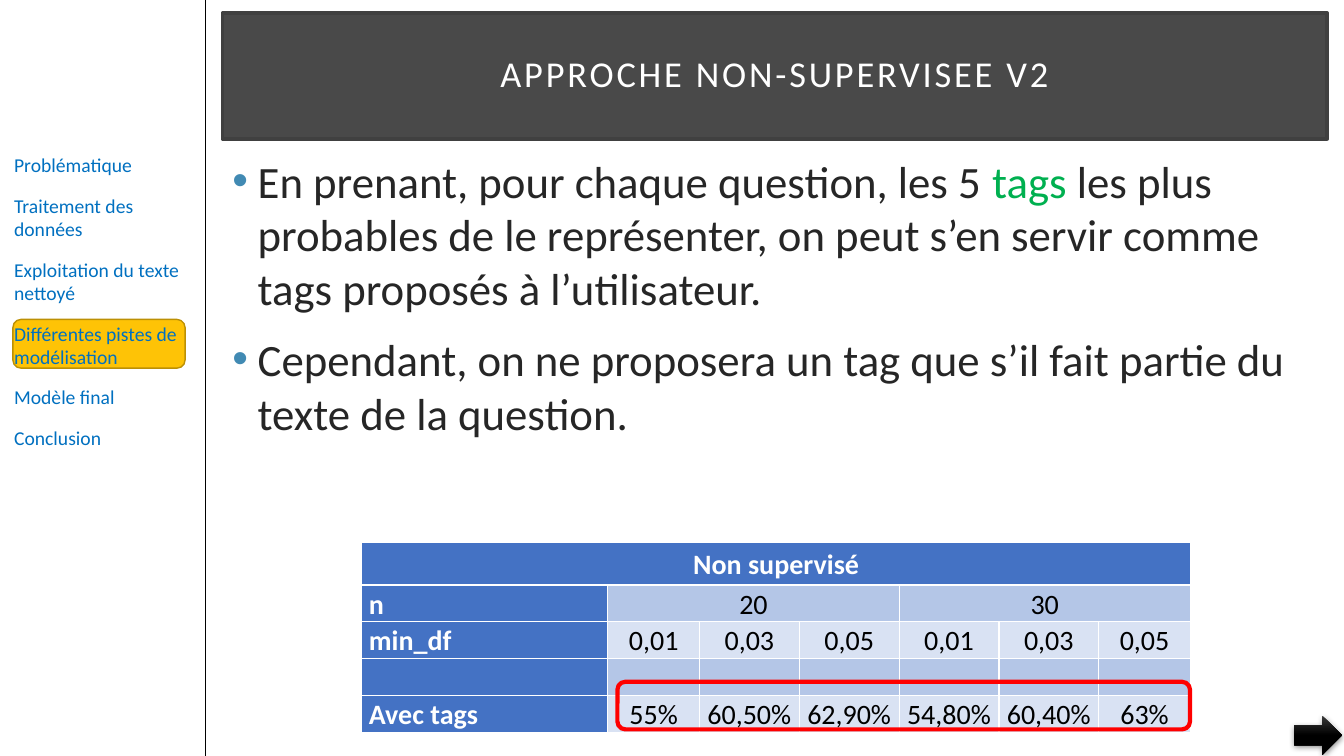
from lxml.etree import SubElement
from pptx import Presentation
from pptx.dml.color import RGBColor
from pptx.enum.shapes import MSO_CONNECTOR, MSO_SHAPE
from pptx.enum.text import MSO_ANCHOR, PP_ALIGN
from pptx.oxml import parse_xml
from pptx.oxml.ns import nsdecls, qn
from pptx.util import Pt

COLORS = {
    "white": "FFFFFF", "black": "000000", "body": "262626", "tag": "00B050",
    "nav": "0070C0", "bullet": "418AB3", "amber": "FEC306", "amber_edge": "BC9004",
    "title": "0D0D0D", "title_edge": "404040", "red": "FF0000", "sheen": "393939",
    "head": "4472C4", "band_dark": "B4C6E7", "band_light": "D9E2F3",
}


def rgb(name):
    return RGBColor.from_string(COLORS[name])


def write(frame, paragraphs, size=14, color="black", bold=False, align=PP_ALIGN.LEFT,
          anchor=MSO_ANCHOR.TOP, insets=(7.2, 3.6, 7.2, 3.6), line=1.0, gap=0,
          tracking=0, bullet=None, hanging=18):
    """Each paragraph is a list of (text, colour) runs or a plain string."""
    frame.word_wrap = True
    frame.vertical_anchor = anchor
    (frame.margin_left, frame.margin_top,
     frame.margin_right, frame.margin_bottom) = map(Pt, insets)
    for number, runs in enumerate(paragraphs):
        paragraph = frame.add_paragraph() if number else frame.paragraphs[0]
        paragraph.alignment = align
        paragraph.line_spacing = line
        paragraph.space_before = paragraph.space_after = Pt(gap)
        if bullet:
            props = paragraph._p.get_or_add_pPr()
            props.set("marL", str(Pt(hanging)))
            props.set("indent", str(-Pt(hanging)))
            tint = SubElement(props, qn("a:buClr"))
            SubElement(tint, qn("a:srgbClr"), val=COLORS["bullet"])
            SubElement(props, qn("a:buFont"), typeface="Arial")
            SubElement(props, qn("a:buChar"), char=bullet)
        for text, tone in [(runs, color)] if isinstance(runs, str) else runs:
            run = paragraph.add_run()
            run.text = text
            run.font.name = "Calibri"
            run.font.size = Pt(size)
            run.font.bold = bold
            run.font.color.rgb = rgb(tone)
            if tracking:
                run._r.get_or_add_rPr().set("spc", str(tracking * 100))


class SlideBuilder:
    def __init__(self, slide):
        self.slide = slide
        self.shapes = slide.shapes

    def paint(self, shape, fill=None, edge=None, width=1):
        if fill:
            shape.fill.solid()
            shape.fill.fore_color.rgb = rgb(fill)
        else:
            shape.fill.background()
        if edge:
            shape.line.color.rgb = rgb(edge)
            shape.line.width = Pt(width)
        else:
            shape.line.fill.background()

    def title(self, box, text):
        holder = self.shapes.title
        holder.left, holder.top, holder.width, holder.height = map(Pt, box)
        self.paint(holder, "title", "title_edge", 2.5)
        tone = holder.fill._xPr.find(qn("a:solidFill"))[0]
        SubElement(tone, qn("a:alpha"), val="75000")
        write(holder.text_frame, [text], size=26, color="white", align=PP_ALIGN.CENTER,
              anchor=MSO_ANCHOR.MIDDLE, insets=(14.4,) * 4, line=0.9, tracking=2)

    def text(self, box, paragraphs, **style):
        write(self.shapes.add_textbox(*map(Pt, box)).text_frame, paragraphs, **style)

    def shape(self, kind, box, **style):
        shape = self.shapes.add_shape(kind, *map(Pt, box))
        shape.shadow.inherit = False
        self.paint(shape, **style)
        return shape

    def line(self, start, end, color, width=1):
        rule = self.shapes.add_connector(MSO_CONNECTOR.STRAIGHT, *map(Pt, start + end))
        rule.line.color.rgb = rgb(color)
        rule.line.width = Pt(width)
        SubElement(rule._element.spPr, qn("a:effectLst"))

    def next_arrow(self, box):
        arrow = self.shape(MSO_SHAPE.RIGHT_ARROW, box)
        arrow.fill.gradient()
        arrow.fill.gradient_angle = 270
        for stop, (tone, place) in zip(arrow.fill.gradient_stops,
                                       [("sheen", 0), ("black", 0.5)]):
            stop.color.rgb = rgb(tone)
            stop.position = place
        effects = arrow._element.spPr.find(qn("a:effectLst"))
        shadow = SubElement(effects, qn("a:outerShdw"), blurRad=str(Pt(4.4)),
                            dist=str(Pt(1.2)), dir="5400000", rotWithShape="0")
        tone = SubElement(shadow, qn("a:srgbClr"), val=COLORS["black"])
        SubElement(tone, qn("a:alpha"), val="45000")

    def cell(self, cell, text, fill, **style):
        cell.fill.solid()
        cell.fill.fore_color.rgb = rgb(fill)
        anchor = style.pop("anchor")
        cell.vertical_anchor = anchor
        cell.margin_left = cell.margin_right = Pt(5)
        cell.margin_top = cell.margin_bottom = 0
        if text:
            write(cell.text_frame, [text], size=20, line=1.07, anchor=None,
                  insets=(0,) * 4, **style)
        props = cell._tc.get_or_add_tcPr()
        for place, side in enumerate(("lnL", "lnR", "lnT", "lnB")):
            props.insert(place, parse_xml(
                f'<a:{side} {nsdecls("a")} w="{Pt(1)}"><a:solidFill>'
                f'<a:srgbClr val="{COLORS["white"]}"/></a:solidFill></a:{side}>'))

    def table(self, corner, widths, heights, rows, merges):
        box = (*corner, sum(widths), sum(heights))
        grid = self.shapes.add_table(len(rows), len(widths), *map(Pt, box)).table
        for column, width in zip(grid.columns, widths):
            column.width = Pt(width)
        for row, height in zip(grid.rows, heights):
            row.height = Pt(height)
        for r, row in enumerate(rows):
            for c, text in enumerate(row):
                head = r == 0 or c == 0
                band = "band_dark" if r % 2 else "band_light"
                middle = r == 0 or (c > 0 and r < 3)
                self.cell(grid.cell(r, c), text, "head" if head else band,
                          color="white" if head else "black", bold=head,
                          align=PP_ALIGN.LEFT if c == 0 and r else PP_ALIGN.CENTER,
                          anchor=MSO_ANCHOR.MIDDLE if middle else MSO_ANCHOR.TOP)
        for row, first, last in merges:
            grid.cell(row, first).merge(grid.cell(row, last))


deck = Presentation()
deck.slide_width, deck.slide_height = Pt(960), Pt(540)
page = SlideBuilder(deck.slides.add_slide(deck.slide_layouts[5]))

# Sidebar with the current chapter highlighted
page.shape(MSO_SHAPE.ROUNDED_RECTANGLE, (9.2, 228.2, 123, 34.8),
           fill="amber", edge="amber_edge")
page.line((147, 0), (147, 540), "black")
chapters = ["Problématique", "Traitement des données", "Exploitation du texte nettoyé",
            "Différentes pistes de modélisation", "Modèle final", "Conclusion"]
page.text((3, 106, 139, 225), chapters, color="nav", gap=6)

# Title and explanation
page.title((159, 9.2, 789, 90), "APPROCHE NON-SUPERVISEE V2")
explanation = [
    [("En prenant, pour chaque question, les 5 ", "body"), ("tags", "tag"),
     (" les plus probables de le représenter, on peut s’en servir comme tags "
      "proposés à l’utilisateur.", "body")],
    "Cependant, on ne proposera un tag que s’il fait partie du texte de la question.",
]
page.text((159, 106, 789, 425), explanation, size=32, color="body", gap=6, bullet="•")

# Results, with the scores framed
thresholds = ["0,01", "0,03", "0,05"]
results = [
    ["Non supervisé"] + [""] * 6,
    ["n", "20", "", "", "30", "", ""],
    ["min_df"] + thresholds * 2,
    [""] * 7,
    ["Avec tags", "55%", "60,50%", "62,90%", "54,80%", "60,40%", "63%"],
]
page.table((258.5, 387.7), [175.7, 65.5] + [71.3] * 4 + [65.5], [30.2] + [26.3] * 4,
           results, merges=[(0, 0, 6), (1, 1, 3), (1, 4, 6)])
page.shape(MSO_SHAPE.ROUNDED_RECTANGLE, (441, 487, 409, 34), edge="red", width=3)

# Next-slide arrow
page.next_arrow((924.5, 511.2, 34, 28))

deck.save("out.pptx")
